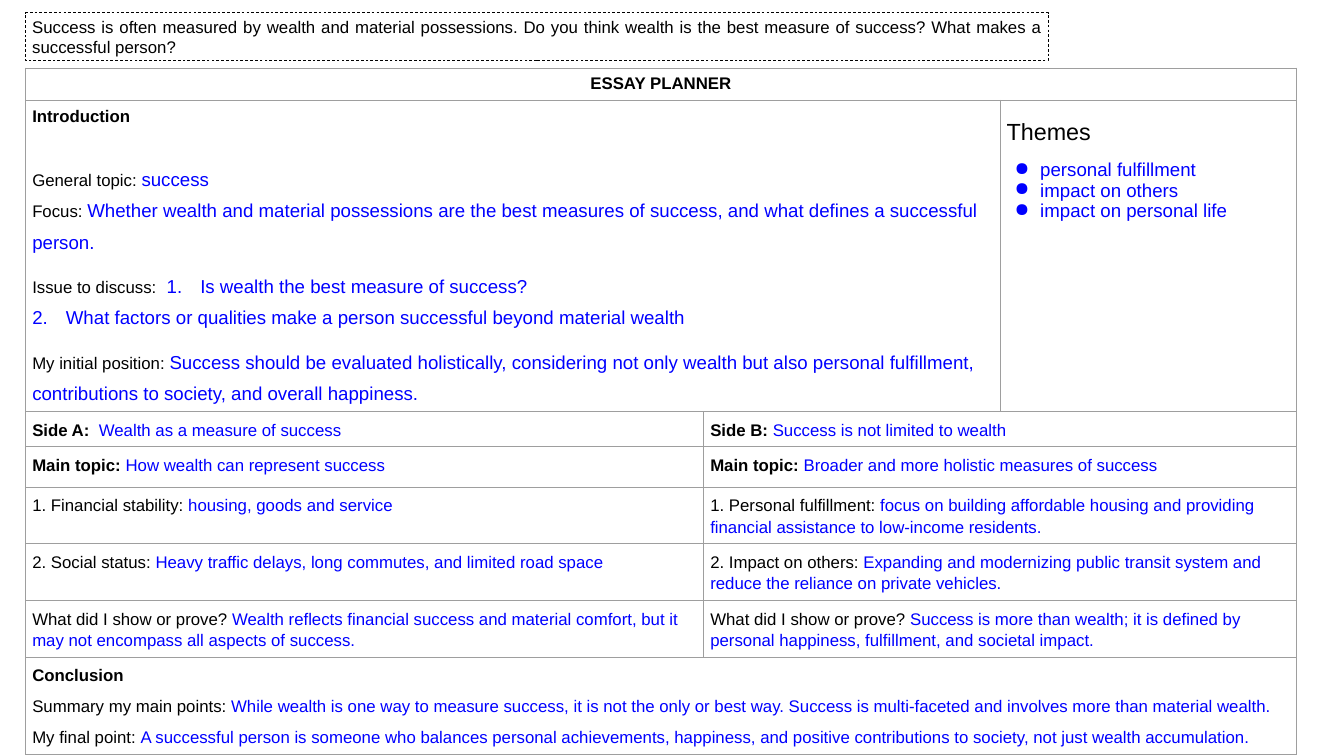
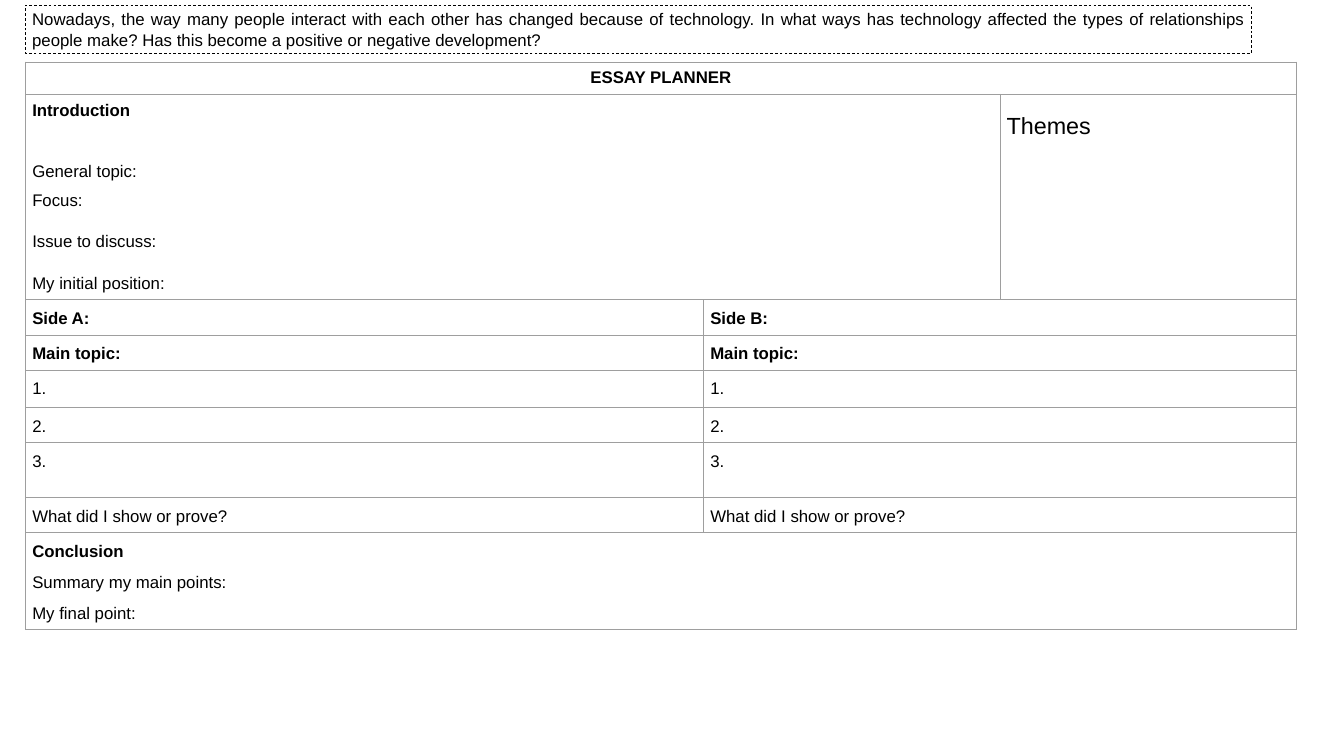
from lxml import etree
from pptx import Presentation
from pptx.dml.color import RGBColor
from pptx.enum import dml, shapes, text
from pptx.oxml.ns import qn
from pptx.util import Emu, Pt

PX = 9144  # one px is a hundredth of an inch
COLORS = {"ink": "000000", "answer": "0000FF", "grid": "9E9E9E"}
FONT = "Arial"
PLAIN_STYLE = "{2D5ABB26-0587-4C30-8999-92F81FD0307C}"
LEFT, INSET = 38, 10
COLUMNS = [412, 597, 441, 441]
BULLET = {"marL": 50 * PX, "indent": -38 * PX}


def px(length):
    return Emu(length * PX)


def apply(target, values):
    for name, value in values.items():
        setattr(target, name, value)


class Planner:
    """Holds the style and the slide being built."""

    def __init__(self, presentation):
        self.presentation = presentation
        self.slide = self.table = None

    def new_slide(self):
        layout = self.presentation.slide_layouts[6]
        self.slide = self.presentation.slides.add_slide(layout)

    def run(self, paragraph, words, size=18, color="ink", bold=False):
        run = paragraph.add_run()
        run.text = words
        apply(run.font, {"name": FONT, "size": Pt(size), "bold": bold})
        run.font.color.rgb = RGBColor.from_string(COLORS[color])

    def question(self, words, top, width, spacing):
        shape = self.slide.shapes.add_shape(
            shapes.MSO_SHAPE.RECTANGLE, px(LEFT), px(top), px(width), px(71))
        shape.shadow.inherit = False
        shape.fill.background()
        shape.line.color.rgb = RGBColor.from_string(COLORS["ink"])
        apply(shape.line, {"width": Pt(0.75),
                           "dash_style": dml.MSO_LINE.DASH})
        sides = ("left", "top", "right", "bottom")
        apply(shape.text_frame, {f"margin_{side}": px(INSET) for side in sides})
        apply(shape.text_frame, {"word_wrap": True,
                                 "vertical_anchor": text.MSO_ANCHOR.MIDDLE})
        paragraph = shape.text_frame.paragraphs[0]
        apply(paragraph, {"alignment": text.PP_ALIGN.JUSTIFY,
                          "space_before": Pt(spacing),
                          "space_after": Pt(spacing)})
        self.run(paragraph, words)

    def grid(self, top, heights):
        frame = self.slide.shapes.add_table(
            len(heights), len(COLUMNS), px(LEFT), px(top),
            px(sum(COLUMNS)), px(sum(heights)))
        self.table = frame.table
        apply(self.table, {"first_row": False, "horz_banding": False})
        frame._element.find(".//" + qn("a:tableStyleId")).text = PLAIN_STYLE
        for column, width in zip(self.table.columns, COLUMNS):
            column.width = px(width)
        for row, height in zip(self.table.rows, heights):
            row.height = px(height)

    def border(self, cell, edges):
        properties = cell._tc.get_or_add_tcPr()
        for edge in "LRTB":
            if edge in edges:
                line = etree.SubElement(properties, qn(f"a:ln{edge}"), w="9525")
                fill = etree.SubElement(line, qn("a:solidFill"))
                etree.SubElement(fill, qn("a:srgbClr"), val=COLORS["grid"])
            else:
                line = etree.SubElement(properties, qn(f"a:ln{edge}"), w="0")
                etree.SubElement(line, qn("a:noFill"))

    def cell(self, row, column, columns=1, rows=1, edges="LRTB"):
        """Merge a block of cells, frame it and return its first cell."""
        for r in range(row, row + rows):
            for c in range(column, column + columns):
                self.border(self.table.cell(r, c), edges)
                self.table.cell(r, c).fill.background()
        cell = self.table.cell(row, column)
        if rows * columns > 1:
            cell.merge(self.table.cell(row + rows - 1, column + columns - 1))
        for side in ("left", "top", "right", "bottom"):
            setattr(cell, f"margin_{side}", px(INSET))
        return cell

    def lines(self, cell, entries, spacing=1.15, size=18, bold=False,
              answer_size=18, gap=0, **form):
        """Write (label, answer) pairs, one paragraph each."""
        for index, (label, answer) in enumerate(entries):
            frame = cell.text_frame
            paragraph = frame.add_paragraph() if index else frame.paragraphs[0]
            apply(paragraph, {"line_spacing": spacing, **form})
            if index and gap:
                paragraph.space_before = Pt(gap)
            if label:
                tail = " " if answer else ""
                heading = bold or label == "Conclusion"
                self.run(paragraph, label + tail, size, bold=heading)
            if answer:
                self.run(paragraph, answer, answer_size, "answer")

    def bullets(self, cell, items):
        self.lines(cell, [("", item) for item in items], 1.0, answer_size=20)
        for paragraph in cell.text_frame.paragraphs[:len(items)]:
            properties = paragraph._p.get_or_add_pPr()
            for name, value in BULLET.items():
                properties.set(name, str(value))
            color = etree.SubElement(properties, qn("a:buClr"))
            etree.SubElement(color, qn("a:srgbClr"), val=COLORS["answer"])
            etree.SubElement(properties, qn("a:buChar"), char="●")

    def essay(self, top, heights, plan):
        self.grid(top, heights)

        # Heading and introduction
        self.lines(self.cell(0, 0, 4), [("ESSAY PLANNER", "")], 1.0,
                   bold=True, alignment=text.PP_ALIGN.CENTER)
        self.lines(self.cell(1, 0, 3, edges="LRT"), [("Introduction", "")],
                   1.0, bold=True)
        topic, focus, issues, position = plan["introduction"]
        blocks = [
            ([("General topic:", topic), ("Focus:", focus)], "LR"),
            ([("Issue to discuss:", issues[0])]
             + [("", issue) for issue in issues[1:]], "LR"),
            ([("My initial position:", position)], "LRB"),
        ]
        for row, (entries, edges) in enumerate(blocks, 2):
            self.lines(self.cell(row, 0, 3, edges=edges), entries, 1.5,
                       answer_size=20)

        # Themes
        self.lines(self.cell(1, 3, edges="LRT"), [("Themes", "")], 1.5, size=25)
        self.bullets(self.cell(2, 3, rows=3, edges="LRB"), plan["themes"])

        # The two sides
        for column, side, answers in zip((0, 2), "AB", plan["sides"]):
            title, main, *points, proof = answers
            entries = [(f"Side {side}:", title), ("Main topic:", main), *points,
                       ("What did I show or prove?", proof)]
            for index, entry in enumerate(entries):
                self.lines(self.cell(5 + index, column, 2), [entry],
                           bold=index < 2)

        # Conclusion
        summary, final = plan["conclusion"]
        self.lines(self.cell(len(heights) - 1, 0, 4),
                   [("Conclusion", ""), ("Summary my main points:", summary),
                    ("My final point:", final)], gap=10)


SUCCESS = {
    "introduction": (
        "success",
        "Whether wealth and material possessions are the best measures of "
        "success, and what defines a successful person.",
        ["\t1.\tIs wealth the best measure of success?",
         "2.\tWhat factors or qualities make a person successful beyond "
         "material wealth"],
        "Success should be evaluated holistically, considering not only wealth "
        "but also personal fulfillment, contributions to society, and overall "
        "happiness."),
    "themes": ["personal fulfillment", "impact on others",
               "impact on personal life"],
    "sides": [
        (" Wealth as a measure of success",
         "How wealth can represent success",
         ("1. Financial stability:", "housing, goods and service"),
         ("2. Social status:", "Heavy traffic delays, long commutes, and "
          "limited road space"),
         "Wealth reflects financial success and material comfort, but it may "
         "not encompass all aspects of success."),
        ("Success is not limited to wealth",
         "Broader and more holistic measures of success",
         ("1. Personal fulfillment:", "focus on building affordable housing "
          "and providing financial assistance to low-income residents."),
         ("2. Impact on others:", "Expanding and modernizing public transit "
          "system and reduce the reliance on private vehicles."),
         "Success is more than wealth; it is defined by personal happiness, "
         "fulfillment, and societal impact.")],
    "conclusion": (
        "While wealth is one way to measure success, it is not the only or "
        "best way. Success is multi-faceted and involves more than material "
        "wealth.",
        "A successful person is someone who balances personal achievements, "
        "happiness, and positive contributions to society, not just wealth "
        "accumulation."),
}
EMPTY_SIDE = ("", "", *[(f"{number}.", "") for number in (1, 2, 3)], "")
BLANK = {"introduction": ("", "", [""], ""), "themes": [],
         "sides": [EMPTY_SIDE] * 2, "conclusion": ("", "")}


def main():
    presentation = Presentation()
    apply(presentation, {"slide_width": px(2000), "slide_height": px(1125)})
    planner = Planner(presentation)

    # Filled planner
    planner.new_slide()
    planner.essay(101, [42, 50, 42, 42, 42, 42, 60, 56, 42, 42, 42], SUCCESS)
    planner.question(
        "Success is often measured by wealth and material possessions. Do you "
        "think wealth is the best measure of success? What makes a successful "
        "person?", 19, 1522, 10)

    # Empty planner
    planner.new_slide()
    planner.essay(92, [42, 50, 42, 42, 42, 42, 42, 56, 42, 82, 42, 42], BLANK)
    planner.question(
        "Nowadays, the way many people interact with each other has changed "
        "because of technology. In what ways has technology affected the types "
        "of relationships people make? Has this become a positive or negative "
        "development?", 8, 1824, 0)

    presentation.save("out.pptx")


if __name__ == "__main__":
    main()
